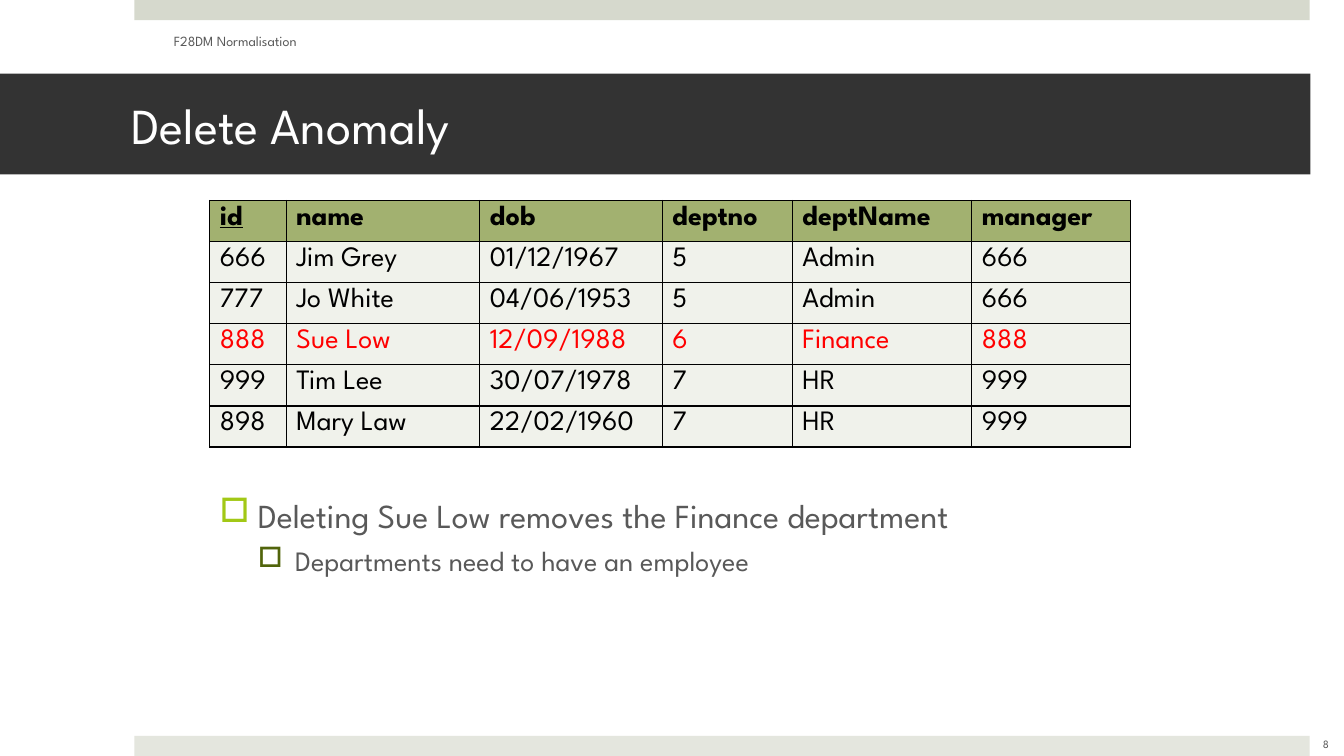
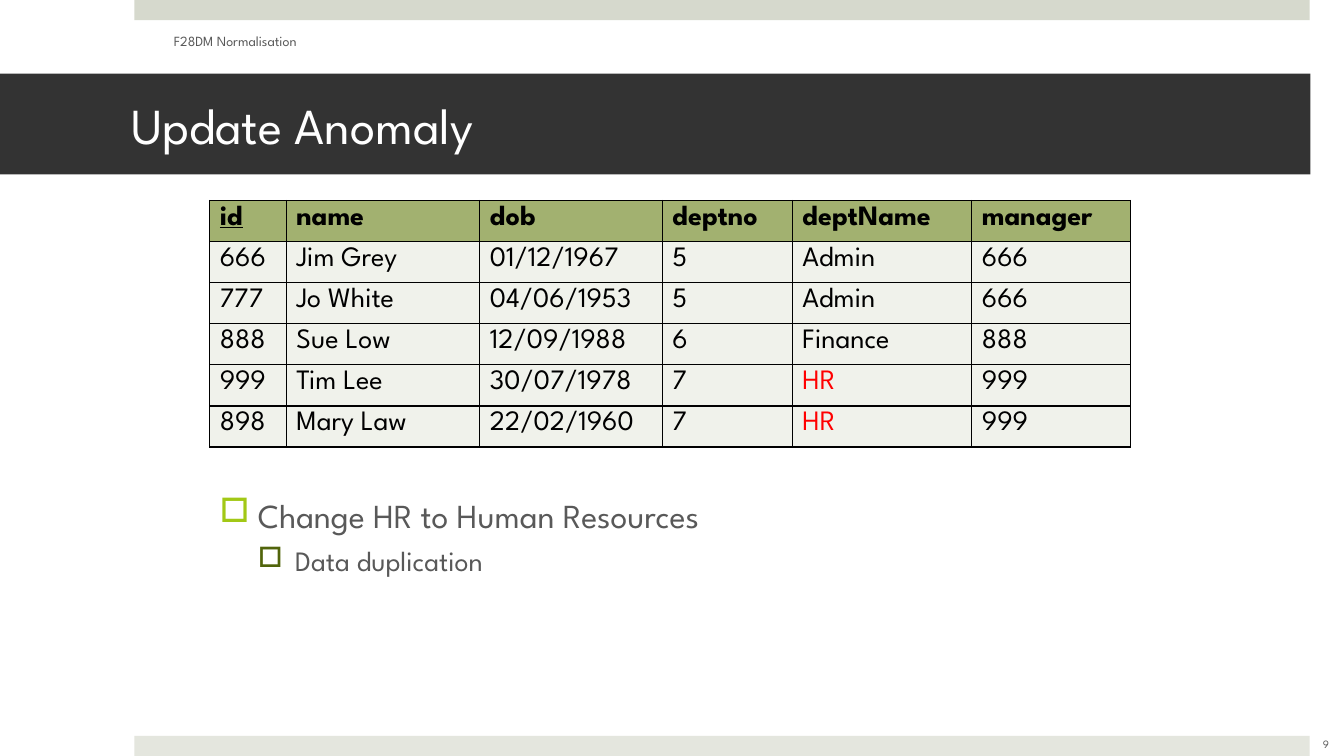
from lxml import etree
from pptx import Presentation
from pptx import util as u
from pptx.dml.color import RGBColor
from pptx.enum import shapes, text
from pptx.oxml.ns import qn

FONT = "League Spartan"
HUES = {
    "top": "D6D9CD", "foot": "E4E6DE", "dark": "333333", "white": "FFFFFF",
    "grey": "595959", "black": "000000", "red": "FF0000", "head": "A2B170",
    "cell": "F0F2EB", "lime": "A2C816", "olive": "51640B",
}
WIDE, HIGH = u.Inches(13.33), u.Inches(7.5)
BOXES = {
    "top": (10, 0, 87.45, 2.67),
    "foot": (10, 97.33, 87.45, 2.67),
    "title": (0, 9.73, 97.5, 13.33),
    "table": (15.6, 26.53, 68.5, 32.6),
    "course": (12.2, 2.8, 31.6, 5.33),
    "number": (96.15, 95.73, 5, 5.33),
    "points": (15.6, 64.8, 68.5, 30.93),
}
COLS = (0.76, 1.92, 1.81, 1.29, 1.78, 1.57)
ROWS = (
    ("id", "name", "dob", "deptno", "deptName", "manager"),
    ("666", "Jim Grey", "01/12/1967", "5", "Admin", "666"),
    ("777", "Jo White", "04/06/1953", "5", "Admin", "666"),
    ("888", "Sue Low", "12/09/1988", "6", "Finance", "888"),
    ("999", "Tim Lee", "30/07/1978", "7", "HR", "999"),
    ("898", "Mary Law", "22/02/1960", "7", "HR", "999"),
)
LEVELS = (
    {"left": 0.38, "hang": 0.38, "size": 24, "hue": "lime", "gap": 0},
    {"left": 0.75, "hang": 0.37, "size": 20, "hue": "olive", "gap": 6},
)
SLIDES = (
    {"title": "Delete Anomaly", "number": 8,
     "red": {(3, col) for col in range(len(COLS))},
     "points": ("Deleting Sue Low removes the Finance department",
                "Departments need to have an employee")},
    {"title": "Update Anomaly", "number": 9,
     "red": {(4, 4), (5, 4)},
     "points": ("Change HR to Human Resources", "Data duplication")},
)


def color(name):
    return RGBColor.from_string(HUES[name])


def place(name):
    x, y, w, h = BOXES[name]
    return [round(part * full / 100) for part, full in
            ((x, WIDE), (y, HIGH), (w, WIDE), (h, HIGH))]


def paint(item, name):
    item.fill.solid()
    item.fill.fore_color.rgb = color(name)


def style(para, size, hue, bold=False):
    para.font.name = FONT
    para.font.size = u.Pt(size)
    para.font.bold = bold
    para.font.color.rgb = color(hue)


def add_band(slide, name):
    band = slide.shapes.add_shape(shapes.MSO_SHAPE.RECTANGLE, *place(name))
    band.shadow.inherit = False
    paint(band, name)
    band.line.fill.background()


def add_title(slide, words):
    title = slide.shapes.title
    title.left, title.top, title.width, title.height = place("title")
    paint(title, "dark")
    frame = title.text_frame
    frame.text = words
    frame.auto_size = text.MSO_AUTO_SIZE.NONE
    frame.vertical_anchor = text.MSO_ANCHOR.MIDDLE
    frame.margin_left, frame.margin_right = u.Inches(1.3), u.Inches(0.3)
    para = frame.paragraphs[0]
    para.alignment = text.PP_ALIGN.LEFT
    style(para, 36, "white")


def add_label(slide, name, words, size, align):
    frame = slide.shapes.add_textbox(*place(name)).text_frame
    frame.word_wrap = True
    frame.vertical_anchor = text.MSO_ANCHOR.MIDDLE
    para = frame.paragraphs[0]
    para.text = words
    para.alignment = align
    style(para, size, "grey")


def add_edges(cell):
    props = cell._tc.get_or_add_tcPr()
    for at, side in enumerate(("lnL", "lnR", "lnT", "lnB")):
        line = etree.Element(qn("a:" + side), w=str(u.Pt(1)))
        fill = etree.SubElement(line, qn("a:solidFill"))
        etree.SubElement(fill, qn("a:srgbClr"), val=HUES["black"])
        props.insert(at, line)


def add_grid(slide, reds):
    x, y, w, h = place("table")
    grid = slide.shapes.add_table(len(ROWS), len(COLS), x, y, w, h).table
    for col, part in zip(grid.columns, COLS):
        col.width = round(w * part / sum(COLS))
    for r, row in enumerate(ROWS):
        for c, words in enumerate(row):
            cell = grid.cell(r, c)
            cell.text = words
            paint(cell, "cell" if r else "head")
            add_edges(cell)
            para = cell.text_frame.paragraphs[0]
            style(para, 20, "red" if (r, c) in reds else "black", r == 0)
            para.font.underline = (r, c) == (0, 0)


def add_bullet(para, level):
    props = para._p.get_or_add_pPr()
    props.set("marL", str(u.Inches(level["left"])))
    props.set("indent", str(-u.Inches(level["hang"])))
    hue = etree.SubElement(props, qn("a:buClr"))
    etree.SubElement(hue, qn("a:srgbClr"), val=HUES[level["hue"]])
    etree.SubElement(props, qn("a:buChar"), char="□")


def add_points(slide, points):
    frame = slide.shapes.add_textbox(*place("points")).text_frame
    frame.word_wrap = True
    for at, (words, level) in enumerate(zip(points, LEVELS)):
        para = frame.add_paragraph() if at else frame.paragraphs[0]
        para.text = words
        para.level = at
        add_bullet(para, level)
        para.space_before = u.Pt(level["gap"])
        style(para, level["size"], "grey")


def add_slide(deck, data):
    slide = deck.slides.add_slide(deck.slide_layouts[5])
    for name in ("top", "foot"):
        add_band(slide, name)
    add_title(slide, data["title"])
    add_grid(slide, data["red"])
    add_label(slide, "course", "F28DM Normalisation", 10, text.PP_ALIGN.LEFT)
    add_label(slide, "number", str(data["number"]), 8, text.PP_ALIGN.CENTER)
    add_points(slide, data["points"])


def main():
    deck = Presentation()
    deck.slide_width, deck.slide_height = WIDE, HIGH
    for data in SLIDES:
        add_slide(deck, data)
    deck.save("out.pptx")


if __name__ == "__main__":
    main()
